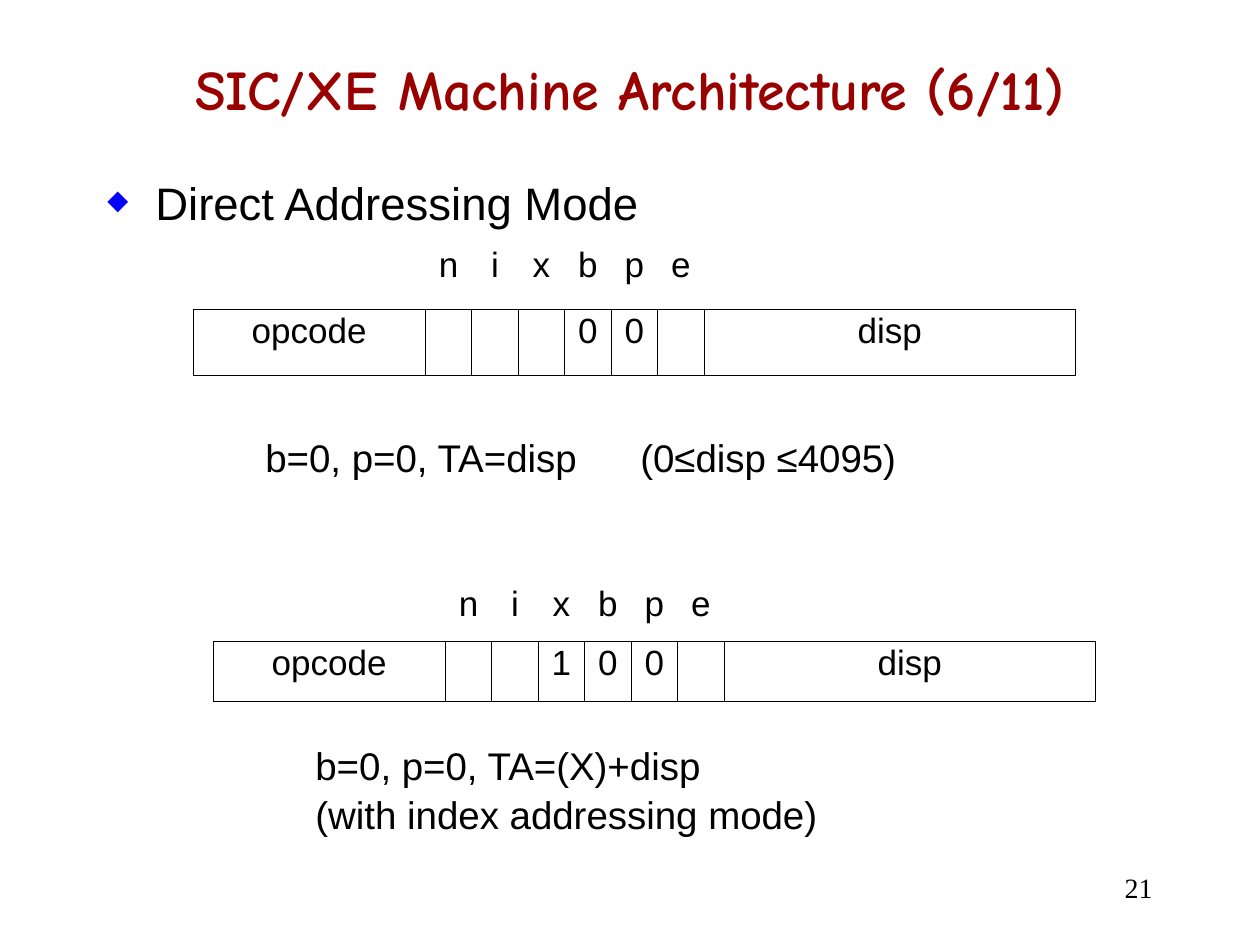
from lxml import etree
from pptx import Presentation
from pptx.dml.color import RGBColor
from pptx.enum.text import MSO_ANCHOR, PP_ALIGN
from pptx.oxml.ns import qn
from pptx.util import Pt

LEFT, CENTER, RIGHT = PP_ALIGN.LEFT, PP_ALIGN.CENTER, PP_ALIGN.RIGHT
TOP, MIDDLE = MSO_ANCHOR.TOP, MSO_ANCHOR.MIDDLE
EMU_PER_PX = 914400 / 126
COLORS = {"text": "000000", "title": "990000", "bullet": "0000FF", "border": "000000"}
FLAGS = ["n", "i", "x", "b", "p", "e"]
COLUMN_UNITS = [5, 1, 1, 1, 1, 1, 1, 8]
BORDER_SIDES = ["lnL", "lnR", "lnT", "lnB"]

TITLE = {"name": "Comic Neue", "size": Pt(32), "bold": True}
NUMBER = {"name": "Times New Roman", "size": Pt(16)}
BODY = {"name": "Arial", "size": Pt(26)}
FIELD = {"name": "Arial", "size": Pt(20)}
FORMULA = {"name": "Arial", "size": Pt(22)}


def px(length):
    """Turn a length in px into EMU."""
    return round(length * EMU_PER_PX)


def add_element(parent, tag, **attributes):
    """Append a DrawingML element to a parent."""
    element = etree.SubElement(parent, qn(f"a:{tag}"))
    for name, value in attributes.items():
        element.set(name, str(value))
    return element


def format_paragraph(paragraph, font, color="text", **layout):
    """Apply layout and font values to a paragraph."""
    for name, value in layout.items():
        setattr(paragraph, name, value)
    for name, value in font.items():
        setattr(paragraph.font, name, value)
    paragraph.font.color.rgb = RGBColor.from_string(COLORS[color])


def add_text(slide, box, lines, font, color="text", anchor=TOP, **layout):
    """Place a text box with one paragraph for each line."""
    frame = slide.shapes.add_textbox(*map(px, box)).text_frame
    frame.word_wrap = True
    frame.vertical_anchor = anchor
    for index, line in enumerate(lines):
        paragraph = frame.add_paragraph() if index else frame.paragraphs[0]
        paragraph.text = line
        if index:
            paragraph.space_before = Pt(4.1)
        format_paragraph(paragraph, font, color, **layout)
    return frame


def add_bullet_list(slide, box, lines):
    """Place lines with a hanging diamond bullet."""
    frame = add_text(slide, box, lines, {})
    for paragraph in frame.paragraphs:
        properties = paragraph._p.get_or_add_pPr()
        properties.set("marL", str(px(48)))
        properties.set("indent", str(-px(48)))
        bullet_color = add_element(properties, "buClr")
        add_element(bullet_color, "srgbClr", val=COLORS["bullet"])
        add_element(properties, "buSzPct", val=60000)
        add_element(properties, "buChar", char="◆")
        format_paragraph(paragraph, BODY, line_spacing=0.9)


def add_formula(slide, box, lines, tab=None):
    """Place formula lines, with an optional tab stop in px."""
    frame = add_text(slide, box, lines, {})
    for paragraph in frame.paragraphs:
        if tab:
            tabs = add_element(paragraph._p.get_or_add_pPr(), "tabLst")
            add_element(tabs, "tab", pos=px(tab), algn="l")
        format_paragraph(paragraph, FORMULA, line_spacing=0.9)


def set_borders(cell, visible_sides):
    """Draw the given sides of a cell and clear the others."""
    properties = cell._tc.get_or_add_tcPr()
    for side in BORDER_SIDES:
        line = add_element(properties, side, w=Pt(0.45))
        if side in visible_sides:
            fill = add_element(line, "solidFill")
            add_element(fill, "srgbClr", val=COLORS["border"])
        else:
            add_element(line, "noFill")
    cell.fill.background()


def add_instruction_format(slide, box, flag_values):
    """Place an instruction layout with flag names above its fields."""
    rows = [["", *FLAGS, ""], ["opcode", *flag_values, "disp"]]
    table = slide.shapes.add_table(len(rows), len(COLUMN_UNITS), *map(px, box)).table
    table.first_row = table.horz_banding = False
    for column, units in zip(table.columns, COLUMN_UNITS):
        column.width = px(box[2] * units / sum(COLUMN_UNITS))
    for row_index, texts in enumerate(rows):
        sides = BORDER_SIDES if row_index else ["lnB"]
        for column_index, text in enumerate(texts):
            cell = table.cell(row_index, column_index)
            cell.text = text
            paragraph = cell.text_frame.paragraphs[0]
            format_paragraph(paragraph, FIELD, alignment=CENTER, line_spacing=0.9)
            set_borders(cell, sides)


def build_slide(presentation):
    """Build the direct addressing mode slide."""
    slide = presentation.slides.add_slide(presentation.slide_layouts[6])
    add_text(slide, (1029, 861, 136, 53), ["21"], NUMBER, anchor=MIDDLE, alignment=RIGHT)
    add_text(slide, (95, 32, 1071, 113), ["SIC/XE Machine Architecture (6/11)"],
             TITLE, "title", MIDDLE, alignment=CENTER)
    add_bullet_list(slide, (95, 175, 1071, 682), ["Direct Addressing Mode"])
    add_instruction_format(slide, (193, 243, 883, 132), ["", "", "", "0", "0", ""])
    add_formula(slide, (253, 433, 893, 79),
                ["b=0, p=0, TA=disp\t(0≤disp ≤4095)"], tab=375)
    add_instruction_format(slide, (213, 582, 883, 119), ["", "", "1", "0", "0", ""])
    add_formula(slide, (303, 741, 735, 139),
                ["b=0, p=0, TA=(X)+disp", "(with index addressing mode)"])


def main():
    """Create the presentation and save it."""
    presentation = Presentation()
    presentation.slide_width, presentation.slide_height = px(1260), px(945)
    build_slide(presentation)
    presentation.save("out.pptx")


if __name__ == "__main__":
    main()
